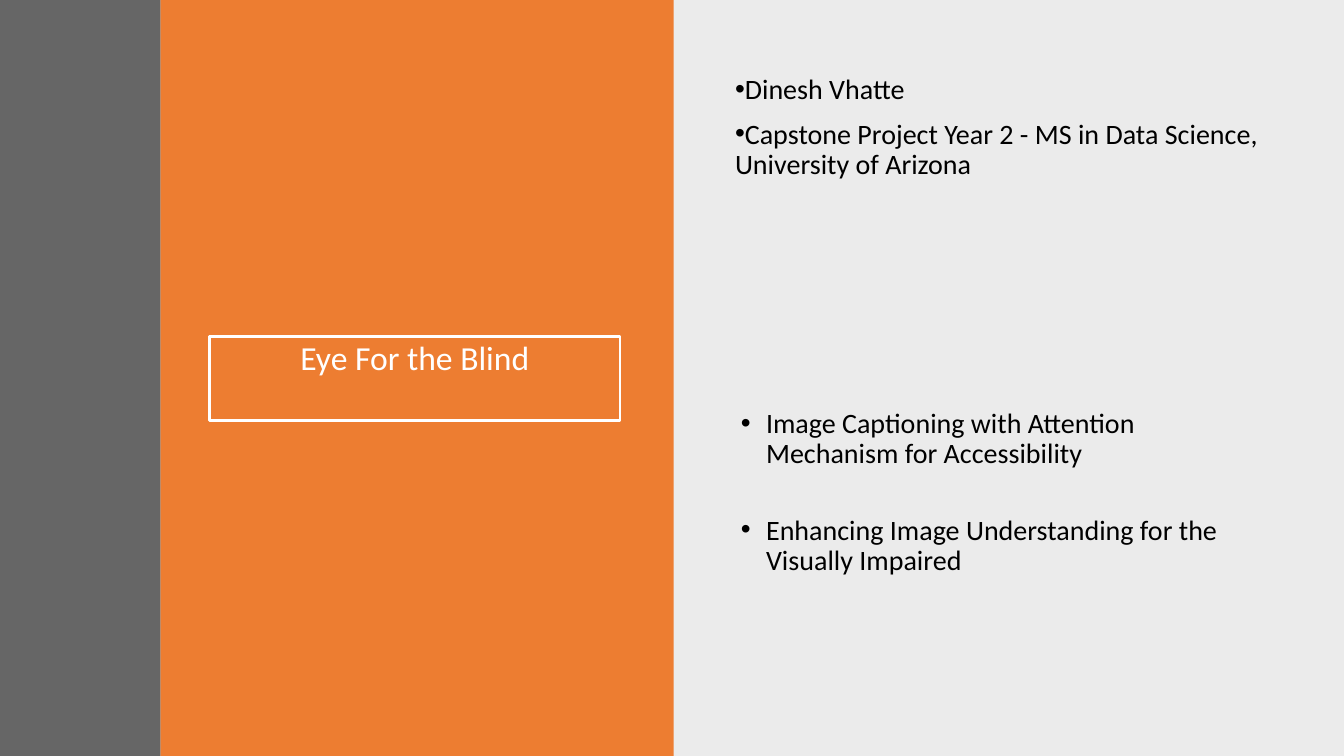
from lxml import etree
from pptx import Presentation
from pptx import util as u
from pptx.dml.color import RGBColor
from pptx.enum import shapes, text
from pptx.oxml import ns

WIDTH, HEIGHT = 13.33, 7.5
FONT = "Calibri"
WHITE, BLACK = "FFFFFF", "000000"
STRIP, PANEL = 1.59, 5.09
LIST_LEFT, LIST_WIDTH, LIST_HEIGHT = 7.19, 5.53, 2.79
AUTHOR_LINES = [
    "Dinesh Vhatte",
    "Capstone Project Year 2 - MS in Data Science, University of Arizona",
]
TOPIC_LINES = [
    "Image Captioning with Attention Mechanism for Accessibility",
    "Enhancing Image Understanding for the Visually Impaired",
]


def assign(target, values):
    """Set every attribute of target that values names."""
    for name, value in values.items():
        setattr(target, name, value)


def paint(color_format, color):
    """Give a colour format the hex colour."""
    color_format.rgb = RGBColor.from_string(color)


def place(box, left, top, width, height):
    """Move and size a box in inches."""
    sides = {"left": left, "top": top, "width": width, "height": height}
    assign(box, {name: u.Inches(value) for name, value in sides.items()})


def add_band(slide, left, width, color, opacity=100):
    """Add a full-height colour band behind the title."""
    band = slide.shapes.add_shape(
        shapes.MSO_SHAPE.RECTANGLE, u.Inches(left), 0, u.Inches(width), u.Inches(HEIGHT))
    band.shadow.inherit = False
    band.line.fill.background()
    band.fill.solid()
    paint(band.fill.fore_color, color)
    if opacity < 100:
        tint = band.element.spPr.find(".//" + ns.qn("a:srgbClr"))
        etree.SubElement(tint, ns.qn("a:alpha"), val=str(opacity * 1000))
    slide.shapes.title.element.addprevious(band.element)


def write(box, lines, size, color, layout):
    """Fill a box with evenly formatted paragraphs."""
    frame = box.text_frame
    assign(frame, {"word_wrap": True, "auto_size": text.MSO_AUTO_SIZE.NONE,
                   "vertical_anchor": text.MSO_ANCHOR.TOP})
    frame.text = "\n".join(lines)
    for para in frame.paragraphs:
        assign(para, {"line_spacing": 0.9, **layout})
        for span in para.runs:
            assign(span.font, {"name": FONT, "size": u.Pt(size), "bold": False})
            paint(span.font.color, color)


def add_bullets(box, margin):
    """Give each paragraph a round bullet and a hanging indent."""
    for para in box.text_frame.paragraphs:
        properties = para._p.get_or_add_pPr()
        properties.set("marL", str(u.Inches(margin)))
        properties.set("indent", str(u.Inches(-0.25)))
        etree.SubElement(properties, ns.qn("a:buFont"), typeface="Arial")
        etree.SubElement(properties, ns.qn("a:buChar"), char="•")


def add_list(box, top, lines, margin, spacing):
    """Place a bulleted list in the right column."""
    place(box, LIST_LEFT, top, LIST_WIDTH, LIST_HEIGHT)
    write(box, lines, 20, BLACK, {"alignment": text.PP_ALIGN.LEFT, **spacing})
    add_bullets(box, margin)


def add_title(title):
    """Place the outlined title on the orange panel."""
    place(title, 2.08, 3.34, 4.07, 0.83)
    title.line.width = u.Pt(2)
    paint(title.line.color, WHITE)
    write(title, ["Eye For the Blind"], 24, WHITE, {"alignment": text.PP_ALIGN.CENTER})


def main():
    """Build the cover slide and save it."""
    deck = Presentation()
    assign(deck, {"slide_width": u.Inches(WIDTH), "slide_height": u.Inches(HEIGHT)})
    slide = deck.slides.add_slide(deck.slide_layouts[0])
    add_band(slide, WIDTH / 2, WIDTH / 2, BLACK, 8)
    add_band(slide, STRIP, PANEL, "ED7D31")
    add_band(slide, 0, STRIP, "404040", 80)
    add_title(slide.shapes.title)
    add_list(slide.placeholders[1], 0.7, AUTHOR_LINES, 0,
             {"space_before": u.Pt(10), "space_after": u.Pt(0)})
    topics = slide.shapes.add_textbox(0, 0, 0, 0)
    add_list(topics, 4.01, TOPIC_LINES, 0.31,
             {"space_before": u.Pt(0), "space_after": u.Pt(33)})
    deck.save("out.pptx")


if __name__ == "__main__":
    main()
